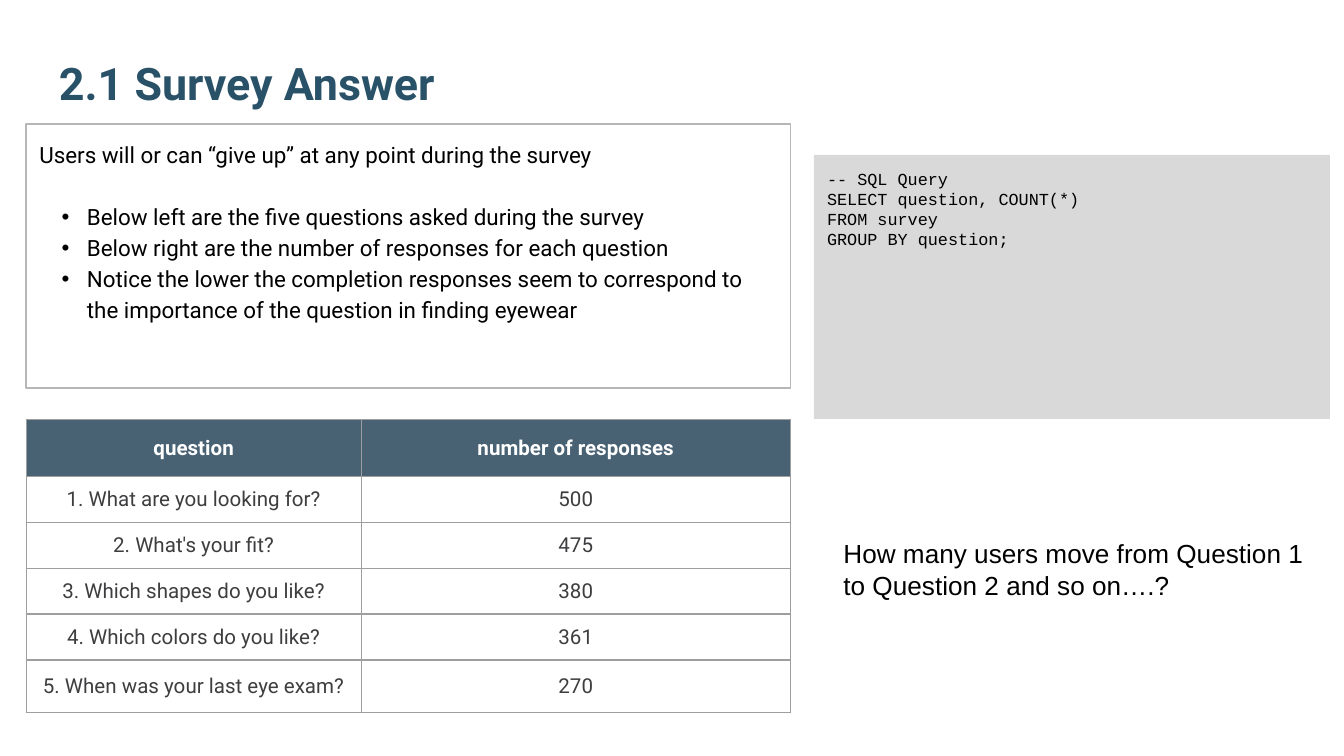
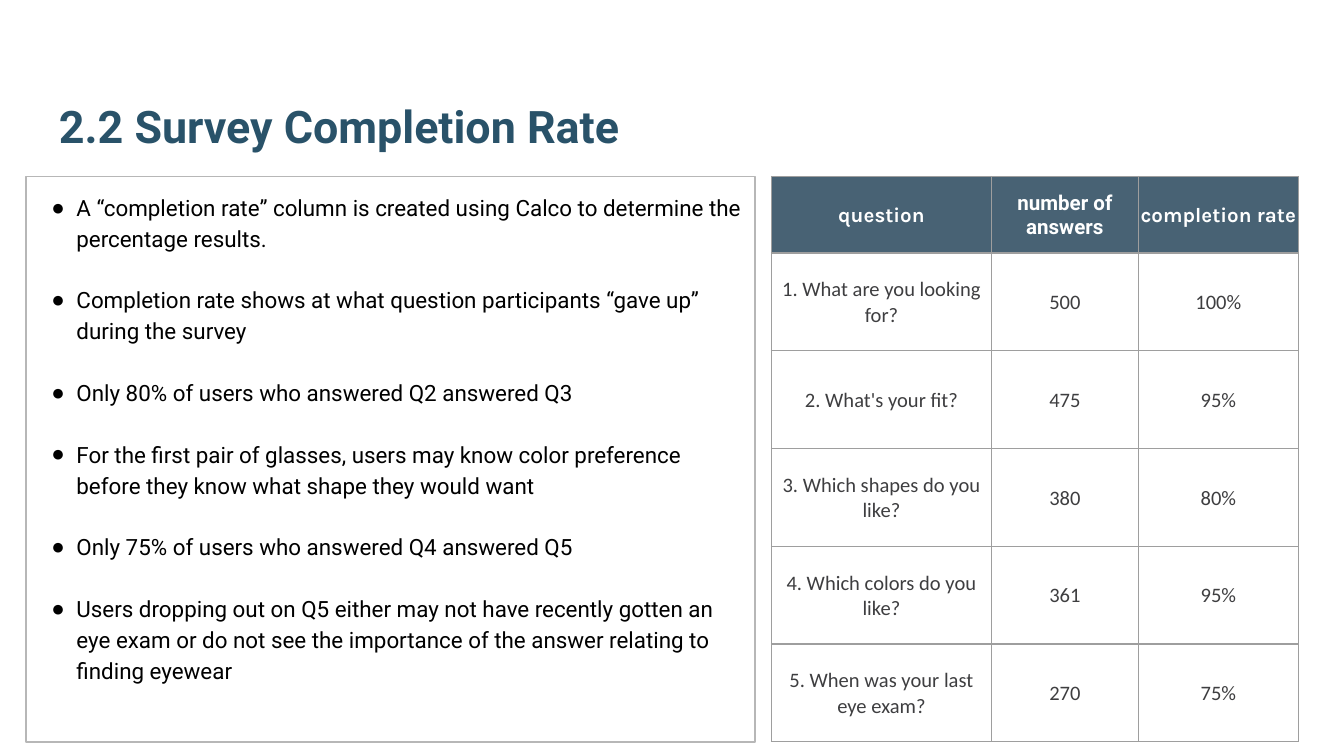
from lxml import etree
from pptx import Presentation
from pptx.dml.color import RGBColor
from pptx.enum import shapes, text
from pptx.oxml import ns
from pptx.util import Pt

TITLE, INK, BODY = "295269", "000000", "3E3E40"
HEADER, GRID, FRAME, CODE_BG = "204056", "9E9E9E", "B7B7B7", "D9D9D9"
LINE_GAP = 16.5  # one empty line of 12 pt text


def rgb(value):
    return RGBColor.from_string(value)


def add_box(slide, at, paras, size, font, color=INK, bold=False, fill=None,
            line=None, margins=(7.2, 7.2, 7.2, 7.2), anchor="TOP", spacing=None):
    """Each paragraph is (text, space before, bullet, left indent)."""
    at = [Pt(v) for v in at]
    if fill or line:
        sp = slide.shapes.add_shape(shapes.MSO_SHAPE.RECTANGLE, *at)
        sp.shadow.inherit = False
        if fill:
            sp.fill.solid()
            sp.fill.fore_color.rgb = rgb(fill)
        else:
            sp.fill.background()
        if line:
            sp.line.color.rgb = rgb(line)
            sp.line.width = Pt(0.75)
        else:
            sp.line.fill.background()
    else:
        sp = slide.shapes.add_textbox(*at)
    tf = sp.text_frame
    tf.word_wrap = True
    tf.vertical_anchor = text.MSO_ANCHOR[anchor]
    tf.margin_left, tf.margin_top, tf.margin_right, tf.margin_bottom = map(Pt, margins)
    for i, (words, before, bullet, indent) in enumerate(paras):
        p = tf.paragraphs[0] if i == 0 else tf.add_paragraph()
        p.alignment = text.PP_ALIGN.LEFT
        if spacing:
            p.line_spacing = spacing
        if before:
            p.space_before = Pt(before)
        if bullet:
            pPr = p._p.get_or_add_pPr()
            pPr.set("marL", str(Pt(indent)))
            pPr.set("indent", str(Pt(-13.5)))
            clr = etree.SubElement(pPr, ns.qn("a:buClr"))
            etree.SubElement(clr, ns.qn("a:srgbClr"), val=INK)
            etree.SubElement(pPr, ns.qn("a:buFont"), typeface="Arial")
            etree.SubElement(pPr, ns.qn("a:buChar"), char=bullet)
        r = p.add_run()
        r.text = words
        r.font.size, r.font.name, r.font.bold = Pt(size), font, bold
        r.font.color.rgb = rgb(color)


prs = Presentation()
prs.slide_width, prs.slide_height = Pt(720), Pt(405)

# Slides and titles
s1, s2 = [prs.slides.add_slide(prs.slide_layouts[6]) for _ in range(2)]
for s, title, height in [(s1, "2.1 Survey Answer", 43),
                         (s2, "2.2 Survey Completion Rate", 66)]:
    add_box(s, (24.5, 23, 671, height), [(title, 0, None, 0)], 24, "Roboto",
            TITLE, bold=True, anchor="BOTTOM")

# Survey answer: query, notes and closing question
query = ["-- SQL Query", "SELECT question, COUNT(*)", "FROM survey", "GROUP BY question;"]
add_box(s1, (436, 83, 276.5, 141.5), [(q, 0, None, 0) for q in query], 9,
        "Courier New", fill=CODE_BG)
add_box(s1, (14, 66.5, 409.5, 141.5), [
    ("Users will or can “give up” at any point during the survey", 0, None, 0),
    ("Below left are the five questions asked during the survey", LINE_GAP, "•", 25.5),
    ("Below right are the number of responses for each question", 0, "•", 25.5),
    ("Notice the lower the completion responses seem to correspond to "
     "the importance of the question in finding eyewear", 0, "•", 25.5),
], 12, "Roboto", line=FRAME, spacing=1.15)
add_box(s1, (444.75, 284.5, 268, 41),
        [("How many users move from Question 1 to Question 2 and so on….?", 0, None, 0)],
        14, "Arial", margins=(7.2, 3.6, 7.2, 3.6))

# Completion rate: findings
findings = [
    "A “completion rate” column is created using Calco to determine the percentage results.",
    "Completion rate shows at what question participants “gave up” during the survey",
    "Only 80% of users who answered Q2 answered Q3",
    "For the first pair of glasses, users may know color preference "
    "before they know what shape they would want",
    "Only 75% of users who answered Q4 answered Q5",
    "Users dropping out on Q5 either may not have recently gotten an eye exam "
    "or do not see the importance of the answer relating to finding eyewear",
]
add_box(s2, (14, 94.5, 390.5, 303),
        [(f, LINE_GAP if i else 0, "●", 13.5) for i, f in enumerate(findings)],
        12, "Roboto", line=FRAME, margins=(13.5, 7.2, 7.2, 7.2), spacing=1.15)

# Tables
survey = [
    ("1. What are you looking for?", "500", "100%"),
    ("2. What's your fit?", "475", "95%"),
    ("3. Which shapes do you like?", "380", "80%"),
    ("4. Which colors do you like?", "361", "95%"),
    ("5. When was your last eye exam?", "270", "75%"),
]
tight = (0.7, 0.7, 0.7, 0)
tables = [
    # slide, left, top, columns, rows, header (text, font), body font, margins
    (s1, 14, 224.75, (179.5, 230), (30.5, 24.6, 24.6, 24.6, 24.6, 28),
     [("question", "Roboto"), ("number of responses", "Roboto")],
     "Roboto", (5.75,) * 4, (7.2, 3.6, 7.2, 3.6)),
    (s2, 413.25, 94.5, (118, 78.5, 86), (41,) + (52.4,) * 5,
     [("question", "Karla"), ("number of answers", "Roboto"), ("completion rate", "Karla")],
     "Calibri", tight, tight),
]
for s, left, top, cols, rows, header, body_font, head_margins, body_margins in tables:
    tbl = s.shapes.add_table(len(rows), len(cols), Pt(left), Pt(top),
                             Pt(sum(cols)), Pt(sum(rows))).table
    tbl.first_row = tbl.horz_banding = False
    for col, width in zip(tbl.columns, cols):
        col.width = Pt(width)
    for row, height in zip(tbl.rows, rows):
        row.height = Pt(height)
    body = [[(value, body_font) for value in answer[:len(cols)]] for answer in survey]
    for i, entries in enumerate([header] + body):
        for j, (words, font) in enumerate(entries):
            cell = tbl.cell(i, j)
            cell.vertical_anchor = text.MSO_ANCHOR.MIDDLE
            (cell.margin_left, cell.margin_top, cell.margin_right,
             cell.margin_bottom) = map(Pt, body_margins if i else head_margins)
            # Borders come before the fill
            tcPr = cell._tc.get_or_add_tcPr()
            for side in ("lnL", "lnR", "lnT", "lnB"):
                ln = etree.SubElement(tcPr, ns.qn("a:" + side), w=str(Pt(0.75)))
                solid = etree.SubElement(ln, ns.qn("a:solidFill"))
                etree.SubElement(solid, ns.qn("a:srgbClr"), val=GRID)
            if i == 0:
                cell.fill.solid()
                cell.fill.fore_color.rgb = rgb(HEADER)
                clr = tcPr.find(ns.qn("a:solidFill")).find(ns.qn("a:srgbClr"))
                etree.SubElement(clr, ns.qn("a:alpha"), val="82000")
            else:
                cell.fill.background()
            p = cell.text_frame.paragraphs[0]
            p.alignment = text.PP_ALIGN.CENTER
            r = p.add_run()
            r.text = words
            r.font.size, r.font.name, r.font.bold = Pt(11), font, i == 0
            r.font.color.rgb = rgb(BODY if i else "FFFFFF")

prs.save("out.pptx")
